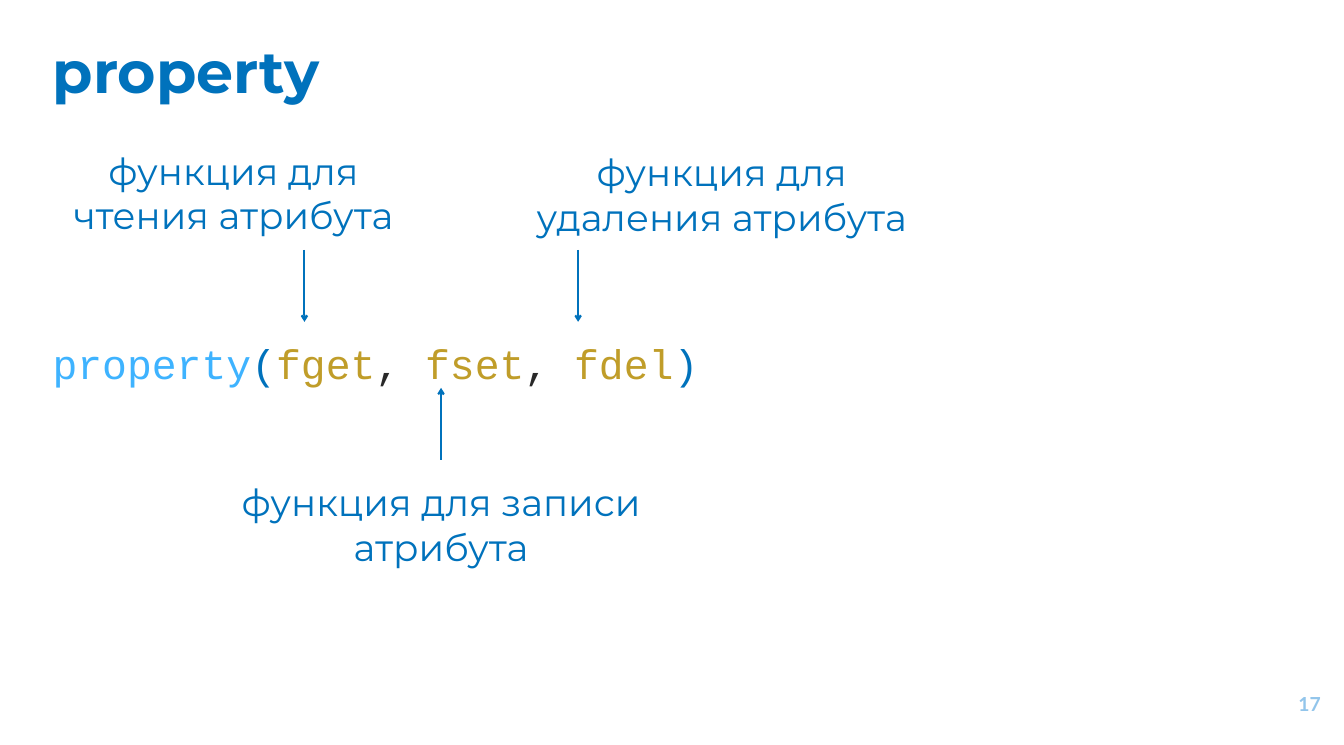
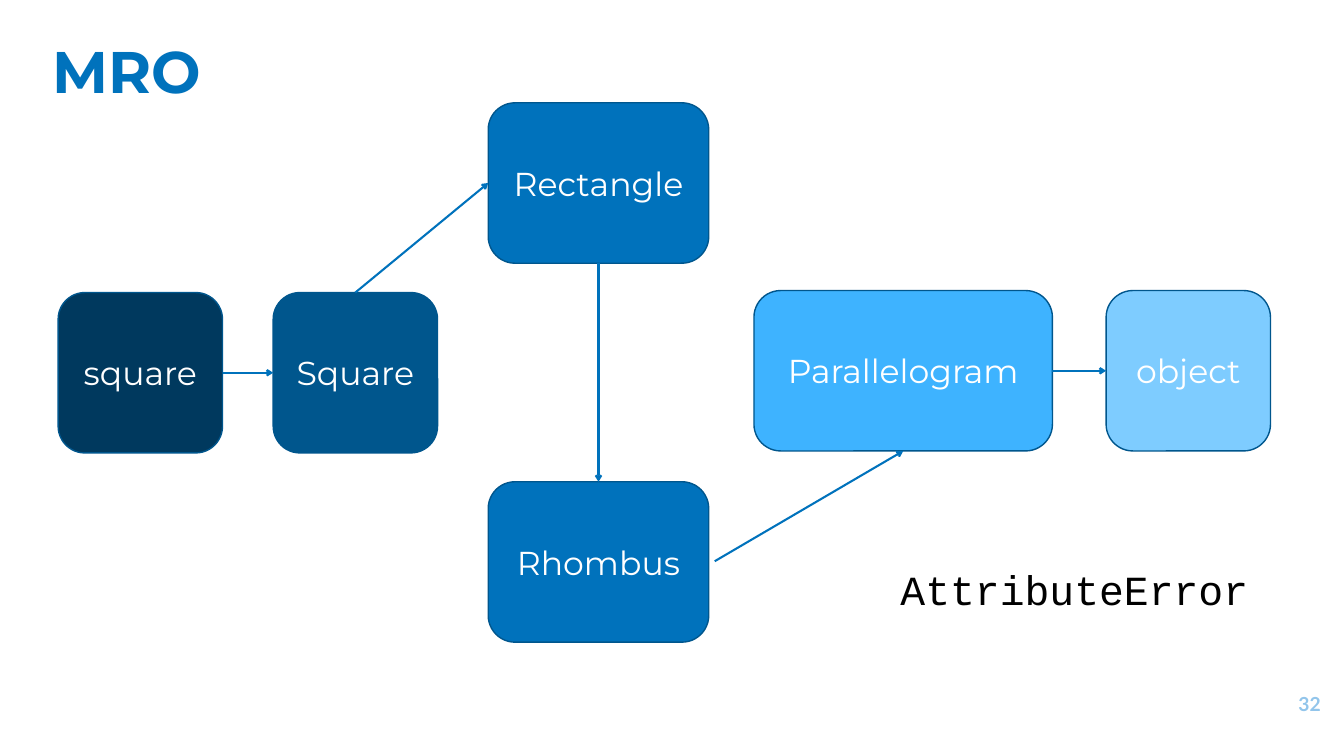
from typing import NamedTuple

from pptx import Presentation
from pptx.dml.color import RGBColor
from pptx.enum.shapes import MSO_CONNECTOR as Connector, MSO_SHAPE as Preset
from pptx.enum.text import MSO_ANCHOR as Anchor, PP_ALIGN as Align
from pptx.oxml.ns import qn
from pptx.shapes.autoshape import Shape
from pptx.slide import Slide
from pptx.util import Inches, Pt
from lxml import etree

BLUE = RGBColor(0x00, 0x72, 0xBC)
NAVY = RGBColor(0x00, 0x39, 0x5E)
DEEP_BLUE = RGBColor(0x00, 0x56, 0x8D)
SKY = RGBColor(0x3E, 0xB3, 0xFF)
PALE_SKY = RGBColor(0x7E, 0xCC, 0xFF)
NUMBER_BLUE = RGBColor(0x92, 0xC5, 0xEB)
GOLD = RGBColor(0xC0, 0x9D, 0x29)
CHARCOAL = RGBColor(0x29, 0x29, 0x29)
BLACK = RGBColor(0x00, 0x00, 0x00)
WHITE = RGBColor(0xFF, 0xFF, 0xFF)

TITLE_FONT = {"name": "Montserrat", "size": Pt(85), "bold": True}
NUMBER_FONT = {"name": "Lato", "size": Pt(28), "bold": True}
NOTE_FONT = {"name": "Montserrat", "size": Pt(54)}
NODE_FONT = {"name": "Montserrat", "size": Pt(48)}
CODE_FONT = {"name": "Courier New", "size": Pt(60)}

NODE_HEIGHT = 3.23
TOP, LEFT, BOTTOM, RIGHT = range(4)


class Box(NamedTuple):
    """Left, top, width and height in inches."""

    left: float
    top: float
    width: float
    height: float


class Span(NamedTuple):
    """A piece of text in one colour."""

    text: str
    color: RGBColor


class Note(NamedTuple):
    """An explanation of one argument and the arrow that links them."""

    text: str
    box: Box
    arrow_x: float
    arrow_start: float
    arrow_end: float


class Node(NamedTuple):
    """A class in the resolution order."""

    name: str
    left: float
    top: float
    width: float
    fill: RGBColor


class Link(NamedTuple):
    """An arrow between the sides of two nodes."""

    source: str
    source_side: int
    target: str
    target_side: int


NOTES = [
    Note("функция для чтения атрибута", Box(1.09, 2.93, 7.22, 1.92), 6.13, 5.03, 6.48),
    Note("функция для удаления атрибута", Box(10.22, 2.96, 8.62, 1.92), 11.64, 5.03, 6.48),
    Note("функция для записи атрибута", Box(4.57, 9.6, 8.62, 1.92), 8.88, 9.26, 7.81),
]
SIGNATURE = [
    Span("property", SKY),
    Span("(", BLUE),
    Span("fget", GOLD),
    Span(", ", CHARCOAL),
    Span("fset", GOLD),
    Span(", ", CHARCOAL),
    Span("fdel", GOLD),
    Span(")", BLUE),
]
NODES = [
    Node("square", 1.17, 5.89, 3.31, NAVY),
    Node("Square", 5.5, 5.89, 3.31, DEEP_BLUE),
    Node("Rectangle", 9.83, 2.07, 4.44, BLUE),
    Node("Rhombus", 9.83, 9.7, 4.44, BLUE),
    Node("Parallelogram", 15.18, 5.85, 6.01, SKY),
    Node("object", 22.27, 5.85, 3.31, PALE_SKY),
]
LINKS = [
    Link("square", RIGHT, "Square", LEFT),
    Link("Square", TOP, "Rectangle", LEFT),
    Link("Rectangle", BOTTOM, "Rhombus", TOP),
    Link("Parallelogram", RIGHT, "object", LEFT),
]


def apply_format(target: object, values: dict) -> None:
    """Set each attribute of the target from the format values."""
    for name, value in values.items():
        setattr(target, name, value)


def write(shape: Shape, spans: list[Span], font: dict, align: Align = Align.LEFT,
          anchor: Anchor = Anchor.TOP, inset: float = 0.05) -> None:
    """Fill a shape with one paragraph of coloured spans."""
    apply_format(shape.text_frame, {
        "word_wrap": True,
        "vertical_anchor": anchor,
        "margin_left": Inches(0.1),
        "margin_right": Inches(0.1),
        "margin_top": Inches(inset),
        "margin_bottom": Inches(inset),
    })
    paragraph = shape.text_frame.paragraphs[0]
    paragraph.alignment = align
    for span in spans:
        run = paragraph.add_run()
        run.text = span.text
        apply_format(run.font, font)
        run.font.color.rgb = span.color


def add_text(slide: Slide, box: Box, spans: list[Span], font: dict, **layout) -> None:
    """Add a text box."""
    shape = slide.shapes.add_textbox(*map(Inches, box))
    write(shape, spans, font, **layout)


def add_arrow(slide: Slide, start: tuple[float, float], end: tuple[float, float]):
    """Add a straight arrow and return its connector."""
    points = map(Inches, (*start, *end))
    connector = slide.shapes.add_connector(Connector.STRAIGHT, *points)
    connector.line.color.rgb = BLUE
    connector.line.width = Pt(3)
    etree.SubElement(connector.line._get_or_add_ln(), qn("a:tailEnd"), type="arrow")
    etree.SubElement(connector._element.spPr, qn("a:effectLst"))
    return connector


def add_node(slide: Slide, node: Node) -> Shape:
    """Add the rounded rectangle of a class."""
    box = Box(node.left, node.top, node.width, NODE_HEIGHT)
    shape = slide.shapes.add_shape(Preset.ROUNDED_RECTANGLE, *map(Inches, box))
    shape.shadow.inherit = False
    shape.fill.solid()
    shape.fill.fore_color.rgb = node.fill
    shape.line.color.rgb = DEEP_BLUE
    shape.line.width = Pt(2)
    write(shape, [Span(node.name, WHITE)], NODE_FONT, Align.CENTER, Anchor.MIDDLE)
    return shape


def add_slide(presentation: Presentation, title: str, title_width: float, number: int) -> Slide:
    """Add a blank slide with its title and number."""
    slide = presentation.slides.add_slide(presentation.slide_layouts[6])
    add_text(slide, Box(0.96, 0.61, title_width, 1.92), [Span(title, BLUE)], TITLE_FONT, inset=0.1)
    add_text(slide, Box(25.07, 13.6, 1.62, 1.15), [Span(str(number), NUMBER_BLUE)], NUMBER_FONT,
             align=Align.RIGHT, anchor=Anchor.MIDDLE, inset=0.1)
    return slide


def build_property(presentation: Presentation) -> None:
    """Build the slide about the arguments of property."""
    slide = add_slide(presentation, "property", 6.03, 17)
    add_text(slide, Box(0.96, 6.63, 20.05, 1.35), SIGNATURE, CODE_FONT, anchor=Anchor.MIDDLE)
    for note in NOTES:
        add_arrow(slide, (note.arrow_x, note.arrow_start), (note.arrow_x, note.arrow_end))
        add_text(slide, note.box, [Span(note.text, BLUE)], NOTE_FONT, align=Align.CENTER)


def build_resolution_order(presentation: Presentation) -> None:
    """Build the slide about the method resolution order."""
    slide = add_slide(presentation, "MRO", 23.93, 32)
    shapes = {node.name: add_node(slide, node) for node in NODES}
    for link in LINKS:
        connector = add_arrow(slide, (0, 0), (1, 1))
        connector.begin_connect(shapes[link.source], link.source_side)
        connector.end_connect(shapes[link.target], link.target_side)
    rhombus_arrow = add_arrow(slide, (14.39, 11.3), (18.19, 9.08))
    rhombus_arrow.end_connect(shapes["Parallelogram"], BOTTOM)
    add_text(slide, Box(17.55, 11.3, 8.16, 1.11), [Span("AttributeError", BLACK)], CODE_FONT,
             align=Align.CENTER, anchor=Anchor.MIDDLE)


def main() -> None:
    """Build and save the presentation."""
    presentation = Presentation()
    apply_format(presentation, {"slide_width": Inches(27.06), "slide_height": Inches(15)})
    build_property(presentation)
    build_resolution_order(presentation)
    presentation.save("out.pptx")


if __name__ == "__main__":
    main()
